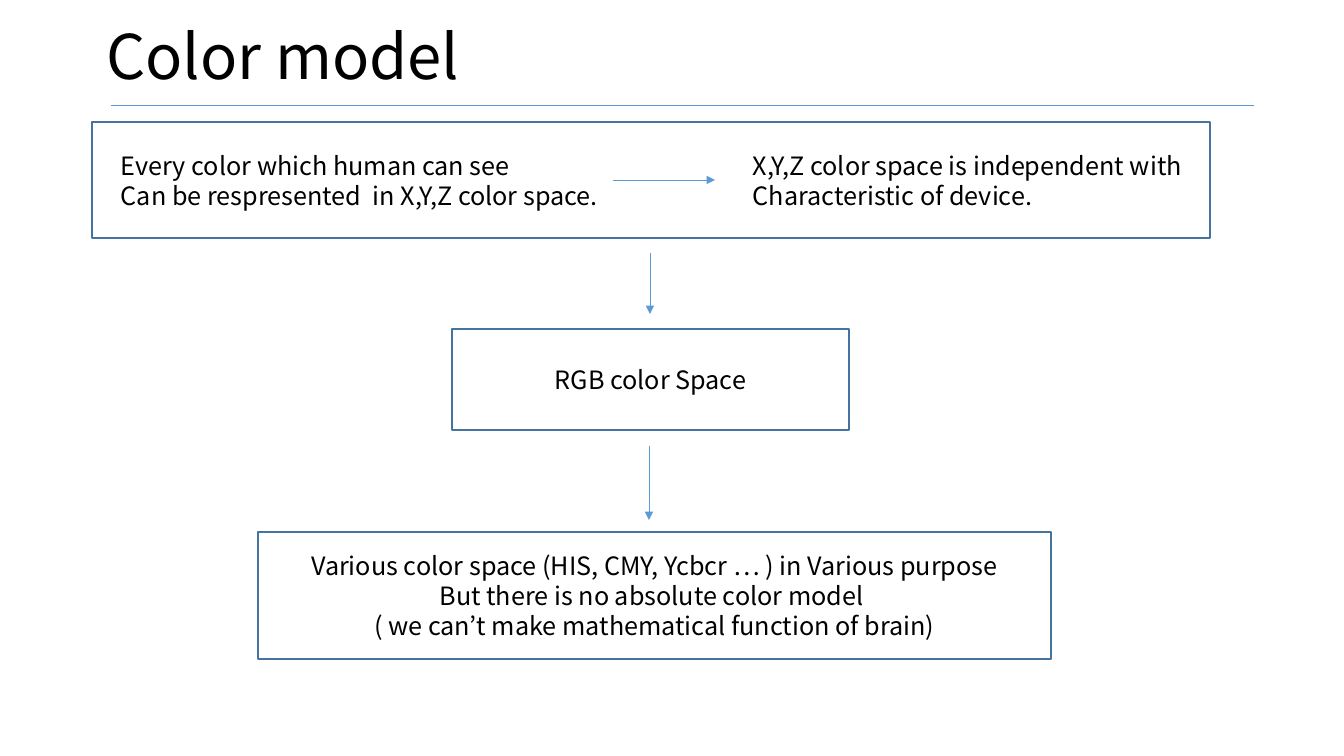
"""Build the color model flow slide."""
from dataclasses import dataclass

import pptx
import pptx.dml.color
import pptx.enum.shapes
import pptx.enum.text
import pptx.oxml
import pptx.oxml.ns
import pptx.presentation
import pptx.shapes.autoshape
import pptx.slide
import pptx.text.text
import pptx.util

EMU_PER_PX = 914400 / 100.8
FONT = "Noto Sans CJK KR"
TEXT_COLOR = "000000"
FLOW_COLOR = "5B9BD5"
FRAME_COLOR = "43739E"
LEFT = pptx.enum.text.PP_ALIGN.LEFT
CENTER = pptx.enum.text.PP_ALIGN.CENTER
TOP = pptx.enum.text.MSO_ANCHOR.TOP
MIDDLE = pptx.enum.text.MSO_ANCHOR.MIDDLE


@dataclass(frozen=True)
class Block:
    left: int
    top: int
    width: int
    height: int
    lines: tuple[str, ...] = ()


@dataclass(frozen=True)
class Stroke:
    x1: int
    y1: int
    x2: int
    y2: int
    arrow: bool = True


TITLE = Block(96, 15, 1109, 90, ("Color model",))
STATEMENTS = (
    Block(111, 145, 519, 71, (
        "Every color which human can see",
        "Can be respresented  in X,Y,Z color space.",
    )),
    Block(743, 145, 503, 71, (
        "X,Y,Z color space is independent with",
        "Characteristic of device.",
    )),
)
STAGES = (
    Block(92, 122, 1118, 116),
    Block(452, 329, 397, 101, ("RGB color Space",)),
    Block(258, 532, 793, 127, (
        "Various color space (HIS, CMY, Ycbcr … ) in Various purpose",
        "But there is no absolute color model ",
        "( we can’t make mathematical function of brain)",
    )),
)
STROKES = (
    Stroke(111, 105, 1254, 105, arrow=False),
    Stroke(613, 180, 715, 180),
    Stroke(650, 253, 650, 314),
    Stroke(649, 446, 649, 520),
)


def px(*lengths: int) -> list[pptx.util.Emu]:
    return [pptx.util.Emu(round(length * EMU_PER_PX)) for length in lengths]


def color(value: str) -> pptx.dml.color.RGBColor:
    return pptx.dml.color.RGBColor.from_string(value)


def write_text(frame: pptx.text.text.TextFrame, lines: tuple[str, ...], *,
               size: int = 18, align: pptx.enum.text.PP_ALIGN = LEFT,
               anchor: pptx.enum.text.MSO_ANCHOR = TOP,
               spacing: float | None = None) -> None:
    frame.text = "\n".join(lines)
    frame.word_wrap = True
    frame.auto_size = pptx.enum.text.MSO_AUTO_SIZE.NONE
    frame.vertical_anchor = anchor
    for paragraph in frame.paragraphs:
        paragraph.alignment = align
        paragraph.line_spacing = spacing
        for run in paragraph.runs:
            run.font.name = FONT
            run.font.size = pptx.util.Pt(size)
            run.font.color.rgb = color(TEXT_COLOR)


def add_title(slide: pptx.slide.Slide, block: Block) -> None:
    title = slide.shapes.title
    title.left, title.top, title.width, title.height = px(
        block.left, block.top, block.width, block.height)
    write_text(title.text_frame, block.lines, size=44, anchor=MIDDLE, spacing=0.9)


def add_stage(slide: pptx.slide.Slide, block: Block) -> None:
    stage = slide.shapes.add_shape(
        pptx.enum.shapes.MSO_SHAPE.RECTANGLE,
        *px(block.left, block.top, block.width, block.height))
    stage.shadow.inherit = False
    stage.fill.background()
    stage.line.color.rgb = color(FRAME_COLOR)
    stage.line.width = pptx.util.Pt(1)
    if block.lines:
        write_text(stage.text_frame, block.lines, align=CENTER, anchor=MIDDLE)


def add_statement(slide: pptx.slide.Slide, block: Block) -> None:
    statement = slide.shapes.add_textbox(
        *px(block.left, block.top, block.width, block.height))
    write_text(statement.text_frame, block.lines)


def add_stroke(slide: pptx.slide.Slide, stroke: Stroke) -> None:
    connector = slide.shapes.add_connector(
        pptx.enum.shapes.MSO_CONNECTOR.STRAIGHT,
        *px(stroke.x1, stroke.y1, stroke.x2, stroke.y2))
    connector.line.color.rgb = color(FLOW_COLOR)
    connector.line.width = pptx.util.Pt(0.5)
    properties = connector._element.spPr
    if stroke.arrow:
        head = pptx.oxml.parse_xml(
            f'<a:tailEnd {pptx.oxml.ns.nsdecls("a")} type="triangle"/>')
        properties.find(pptx.oxml.ns.qn("a:ln")).append(head)
    properties.append(pptx.oxml.parse_xml(
        f'<a:effectLst {pptx.oxml.ns.nsdecls("a")}/>'))


def main() -> None:
    deck = pptx.Presentation()
    deck.slide_width, deck.slide_height = px(1344, 756)
    slide = deck.slides.add_slide(deck.slide_layouts[5])
    add_title(slide, TITLE)
    for statement in STATEMENTS:
        add_statement(slide, statement)
    for stage in STAGES:
        add_stage(slide, stage)
    for stroke in STROKES:
        add_stroke(slide, stroke)
    deck.save("out.pptx")


if __name__ == "__main__":
    main()
